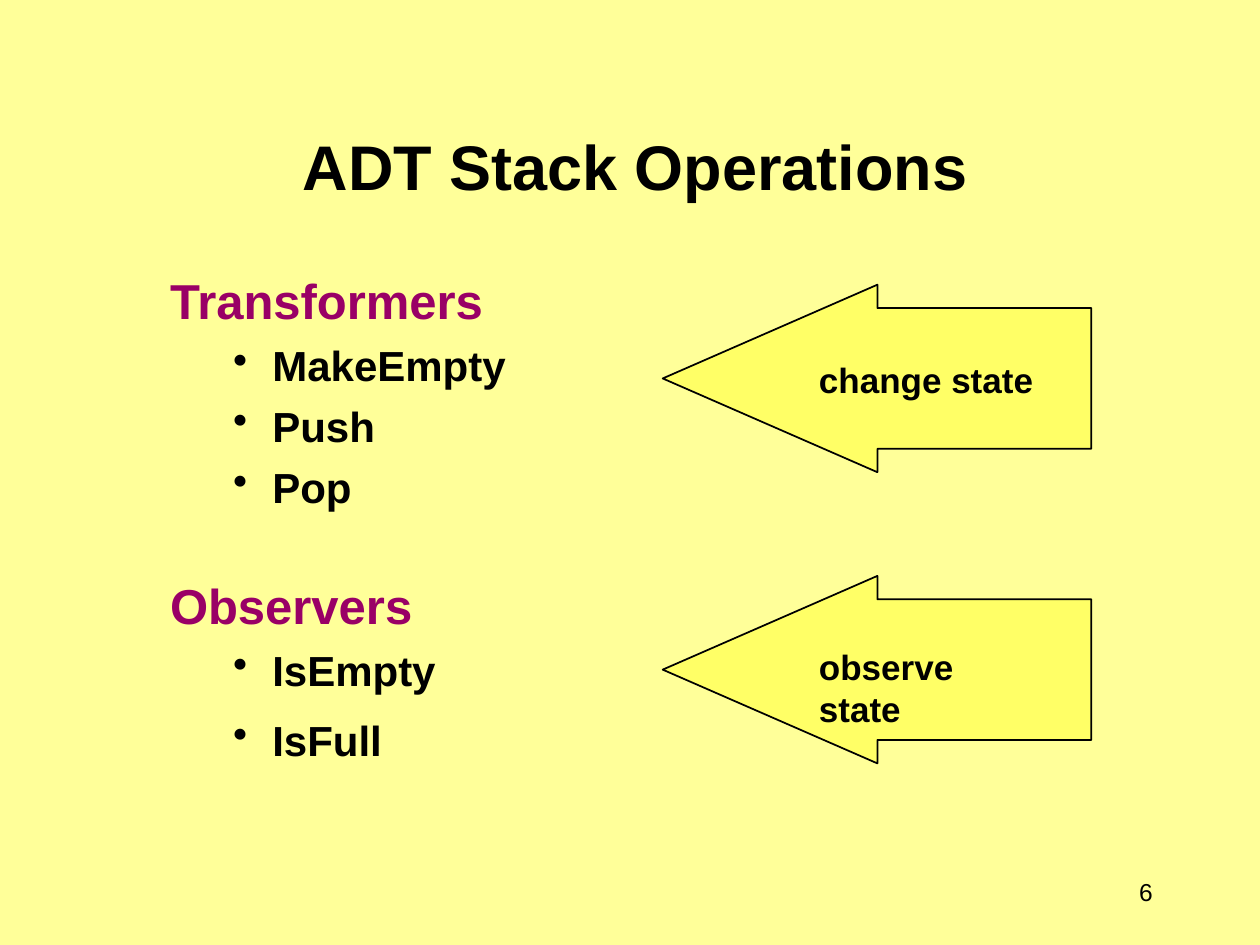
from lxml import etree
from pptx import Presentation
from pptx import util as u
from pptx.dml.color import RGBColor
from pptx.enum import shapes, text
from pptx.oxml import ns

BLACK = "000000"
PURPLE = "990066"
BACKGROUND = "FFFF99"
ARROW_YELLOW = "FFFF66"


def paint(target, color):
    """Give a fill a solid colour from a hex string."""
    target.solid()
    target.fore_color.rgb = RGBColor.from_string(color)


class SlideBuilder:
    """Holds the lettering style and the page being filled."""

    font_name = "Arial"

    def __init__(self, page):
        self.page = page
        paint(page.background.fill, BACKGROUND)

    def text_box(self, left, top, width, height, anchor=text.MSO_ANCHOR.TOP):
        box = self.page.shapes.add_textbox(
            u.Cm(left), u.Cm(top), u.Cm(width), u.Cm(height))
        frame = box.text_frame
        frame.word_wrap = True
        frame.vertical_anchor = anchor
        return frame

    def paragraph(self, frame, words, size, color=BLACK, bold=True,
                  align=text.PP_ALIGN.LEFT, before=0, bullet=False):
        first = not frame.paragraphs[0].runs
        para = frame.paragraphs[0] if first else frame.add_paragraph()
        para.text = words
        para.alignment = align
        if not first:
            para.space_before = u.Pt(before)
        if bullet:
            self.bullet(para)
        para.font.name = self.font_name
        para.font.size = u.Pt(size)
        para.font.bold = bold
        paint(para.font.fill, color)

    def bullet(self, para):
        """Add a round bullet with a hanging indent."""
        properties = para._p.get_or_add_pPr()
        properties.set("marL", str(u.Cm(2.06)))
        properties.set("indent", str(u.Cm(-0.79)))
        mark = etree.SubElement(properties, ns.qn("a:buChar"))
        mark.set("char", "•")

    def group(self, frame, heading, items, before=0):
        """Write a coloured heading and its (name, space before) bullets."""
        self.paragraph(frame, heading, 28, PURPLE, before=before)
        for name, gap in items:
            self.paragraph(frame, name, 24, before=gap, bullet=True)

    def left_arrow(self, left, top, width, height):
        arrow = self.page.shapes.add_shape(
            shapes.MSO_SHAPE.LEFT_ARROW,
            u.Cm(left), u.Cm(top), u.Cm(width), u.Cm(height))
        arrow.adjustments[0] = 0.75
        arrow.adjustments[1] = 1.145
        arrow.shadow.inherit = False
        paint(arrow.fill, ARROW_YELLOW)
        paint(arrow.line.fill, BLACK)
        arrow.line.width = u.Pt(1)


def main():
    deck = Presentation()
    deck.slide_width, deck.slide_height = u.Cm(25.4), u.Cm(19.05)
    builder = SlideBuilder(deck.slides.add_slide(deck.slide_layouts[6]))

    title = builder.text_box(0.84, 0.84, 23.93, 3.38, text.MSO_ANCHOR.BOTTOM)
    builder.paragraph(title, "ADT Stack Operations", 36,
                      align=text.PP_ALIGN.CENTER)

    operations = builder.text_box(3.18, 5.33, 17.98, 11.53)
    builder.group(operations, "Transformers",
                  [("MakeEmpty", 6), ("Push", 6), ("Pop", 6)])
    builder.group(operations, "Observers",
                  [("IsEmpty", 6), ("IsFull", 11)], before=36)

    for top in (11.61, 5.74):
        builder.left_arrow(13.36, top, 8.64, 3.78)

    effects = builder.text_box(16.26, 7.1, 5.05, 9.75)
    builder.paragraph(effects, "change state", 20)
    builder.paragraph(effects, "observe state", 20, before=140)

    number = builder.text_box(21.79, 17.35, 1.7, 1.27, text.MSO_ANCHOR.MIDDLE)
    builder.paragraph(number, "6", 14, bold=False, align=text.PP_ALIGN.RIGHT)

    deck.save("out.pptx")


if __name__ == "__main__":
    main()
